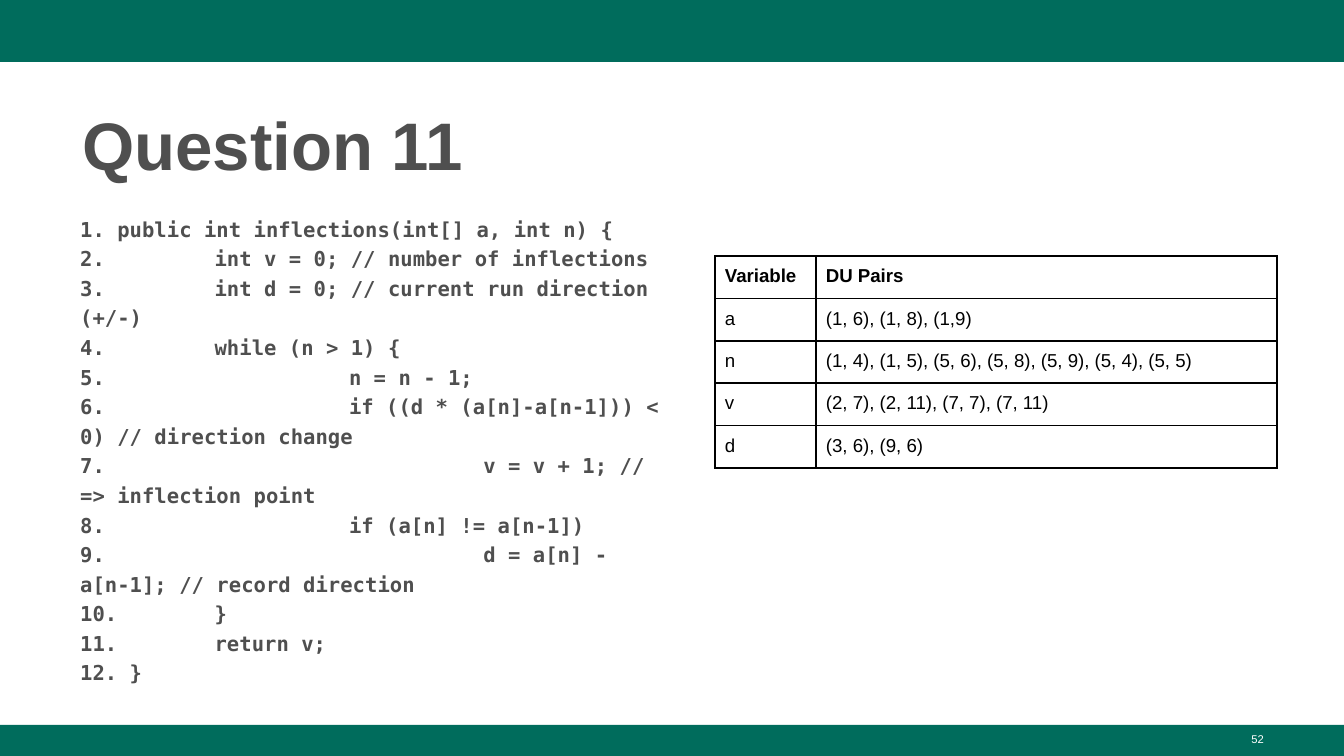
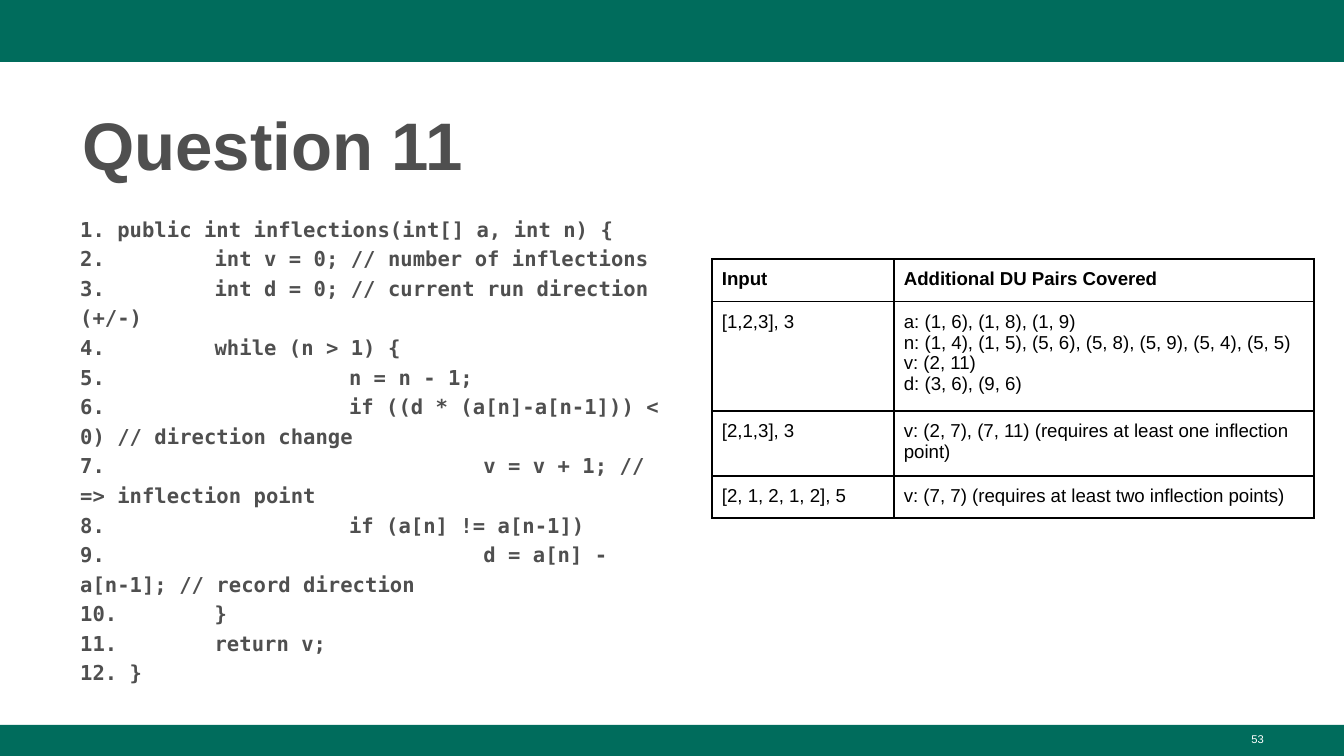
from lxml import etree
from pptx import Presentation
from pptx import util as u
from pptx.dml.color import RGBColor
from pptx.enum import shapes, text
from pptx.oxml.ns import qn

PX = 914400 / 134.4  # EMU in one px
SLIDE_W, SLIDE_H = 1344, 756

GREEN = RGBColor(0x00, 0x6C, 0x5C)
GREY = RGBColor(0x4F, 0x4F, 0x4F)
BLACK = RGBColor(0x00, 0x00, 0x00)
WHITE = RGBColor(0xFF, 0xFF, 0xFF)
SANS, MONO = "Arial", "DejaVu Sans Mono"

TOP_BAND = (0, 0, SLIDE_W, 62)
BOTTOM_BAND = (0, 725, SLIDE_W, 31)
TITLE_BOX = (69, 90, 1208, 98)
CODE_BOX = (67, 175, 622, 547)
NUMBER_BOX = (964, 726, 313, 31)
CELL_MARGIN = 10

CODE = [
    "1. public int inflections(int[] a, int n) {",
    "2. \tint v = 0; // number of inflections",
    "3.\tint d = 0; // current run direction (+/-)",
    "4.\twhile (n > 1) {",
    "5.\t\tn = n - 1;",
    "6. \t\tif ((d * (a[n]-a[n-1])) < 0) // direction change",
    "7. \t\t\tv = v + 1; // => inflection point",
    "8.\t \tif (a[n] != a[n-1])",
    "9. \t\t\td = a[n] - a[n-1]; // record direction",
    "10. \t}",
    "11. \treturn v;",
    "12. }",
]

DU_PAIRS = [
    ("Variable", "DU Pairs"),
    ("a", "(1, 6), (1, 8), (1,9)"),
    ("n", "(1, 4), (1, 5), (5, 6), (5, 8), (5, 9), (5, 4), (5, 5)"),
    ("v", "(2, 7), (2, 11), (7, 7), (7, 11)"),
    ("d", "(3, 6), (9, 6)"),
]

COVERAGE = [
    ("Input", "Additional DU Pairs Covered"),
    ("[1,2,3], 3",
     "a: (1, 6), (1, 8), (1, 9)\n"
     "n: (1, 4), (1, 5), (5, 6), (5, 8), (5, 9), (5, 4), (5, 5) \n"
     "v: (2, 11) \n"
     "d: (3, 6), (9, 6)"),
    ("[2,1,3], 3", "v: (2, 7), (7, 11) (requires at least one inflection point)"),
    ("[2, 1, 2, 1, 2], 5", "v: (7, 7) (requires at least two inflection points)"),
]


def px(length):
    return u.Emu(round(length * PX))


def place(box):
    return [px(length) for length in box]


def set_font(paragraph, name, size, color, bold=False):
    font = paragraph.font
    font.name, font.size, font.bold = name, u.Pt(size), bold
    font.color.rgb = color


def add_band(slide, box):
    band = slide.shapes.add_shape(shapes.MSO_SHAPE.RECTANGLE, *place(box))
    band.shadow.inherit = False
    band.fill.solid()
    band.fill.fore_color.rgb = GREEN
    band.line.fill.background()


def add_text_frame(slide, box):
    frame = slide.shapes.add_textbox(*place(box)).text_frame
    frame.word_wrap = True
    return frame


def add_title(slide, box, title):
    heading = add_text_frame(slide, box).paragraphs[0]
    heading.text = title
    heading.line_spacing = 1.08
    set_font(heading, SANS, 36, GREY, bold=True)


def add_page_number(slide, box, number):
    page = add_text_frame(slide, box).paragraphs[0]
    page.text = str(number)
    page.alignment = text.PP_ALIGN.RIGHT
    set_font(page, SANS, 6, WHITE)


def add_tab_stops(paragraph, count):
    """Put one tab stop at every inch."""
    stops = etree.SubElement(paragraph._p.get_or_add_pPr(), qn("a:tabLst"))
    for inch in range(1, count + 1):
        etree.SubElement(stops, qn("a:tab"), pos=str(u.Inches(inch)), algn="l")


def add_code(slide, box, lines):
    frame = add_text_frame(slide, box)
    frame.vertical_anchor = text.MSO_ANCHOR.MIDDLE
    frame.margin_top = frame.margin_bottom = u.Inches(0.1)
    for index, line in enumerate(lines):
        code_line = frame.paragraphs[0] if index == 0 else frame.add_paragraph()
        code_line.text = line
        code_line.line_spacing = 1.2
        add_tab_stops(code_line, 3)
        set_font(code_line, MONO, 11, GREY, bold=True)


def set_borders(cell):
    properties = cell._tc.get_or_add_tcPr()
    for index, side in enumerate(("a:lnL", "a:lnR", "a:lnT", "a:lnB")):
        border = etree.Element(qn(side), w=str(u.Pt(1)))
        fill = etree.SubElement(border, qn("a:solidFill"))
        etree.SubElement(fill, qn("a:srgbClr"), val=str(BLACK))
        properties.insert(index, border)


def add_grid(slide, left, top, widths, heights, rows):
    box = (left, top, sum(widths), sum(heights))
    table = slide.shapes.add_table(len(rows), len(widths), *place(box)).table
    table.first_row = table.horz_banding = False
    for column, width in zip(table.columns, widths):
        column.width = px(width)
    for row_index, (row, height, values) in enumerate(zip(table.rows, heights, rows)):
        row.height = px(height)
        for cell, value in zip(row.cells, values):
            cell.margin_left = cell.margin_right = px(CELL_MARGIN)
            cell.margin_top = cell.margin_bottom = px(CELL_MARGIN)
            cell.fill.background()
            set_borders(cell)
            entry = cell.text_frame.paragraphs[0]
            entry.text = value
            set_font(entry, SANS, 10, BLACK, bold=row_index == 0)


def add_question_slide(deck, number, **grid):
    slide = deck.slides.add_slide(deck.slide_layouts[6])
    # Shared frame
    add_band(slide, TOP_BAND)
    add_band(slide, BOTTOM_BAND)
    add_title(slide, TITLE_BOX, "Question 11")
    add_page_number(slide, NUMBER_BOX, number)
    # Code on the left, answer on the right
    add_code(slide, CODE_BOX, CODE)
    add_grid(slide, **grid)


def main():
    deck = Presentation()
    deck.slide_width, deck.slide_height = px(SLIDE_W), px(SLIDE_H)
    add_question_slide(deck, 52, left=715, top=256, widths=(101, 461),
                       heights=[40] * len(DU_PAIRS), rows=DU_PAIRS)
    add_question_slide(deck, 53, left=712, top=259, widths=(182, 420),
                       heights=(40, 102, 60, 40), rows=COVERAGE)
    deck.save("out.pptx")


if __name__ == "__main__":
    main()
